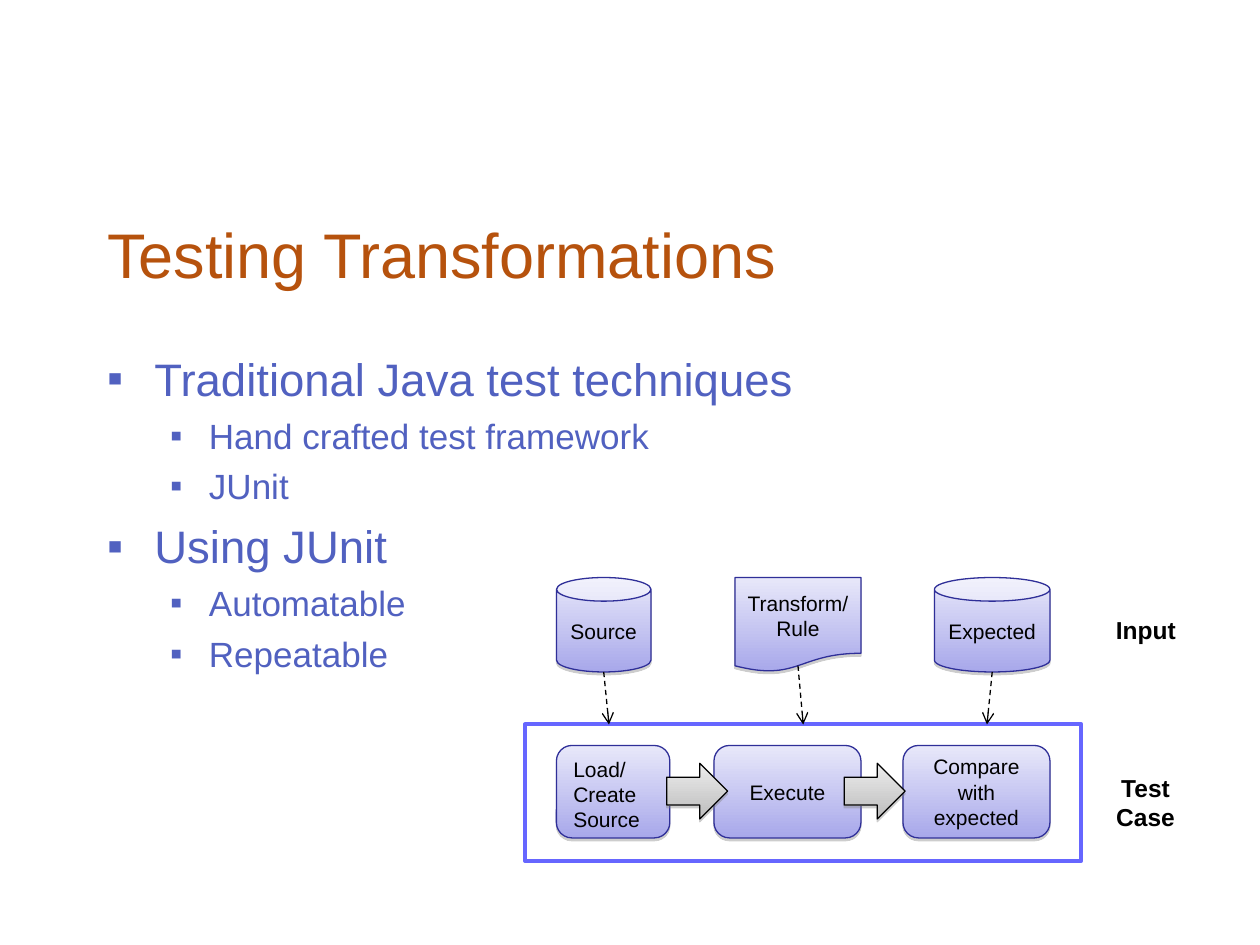
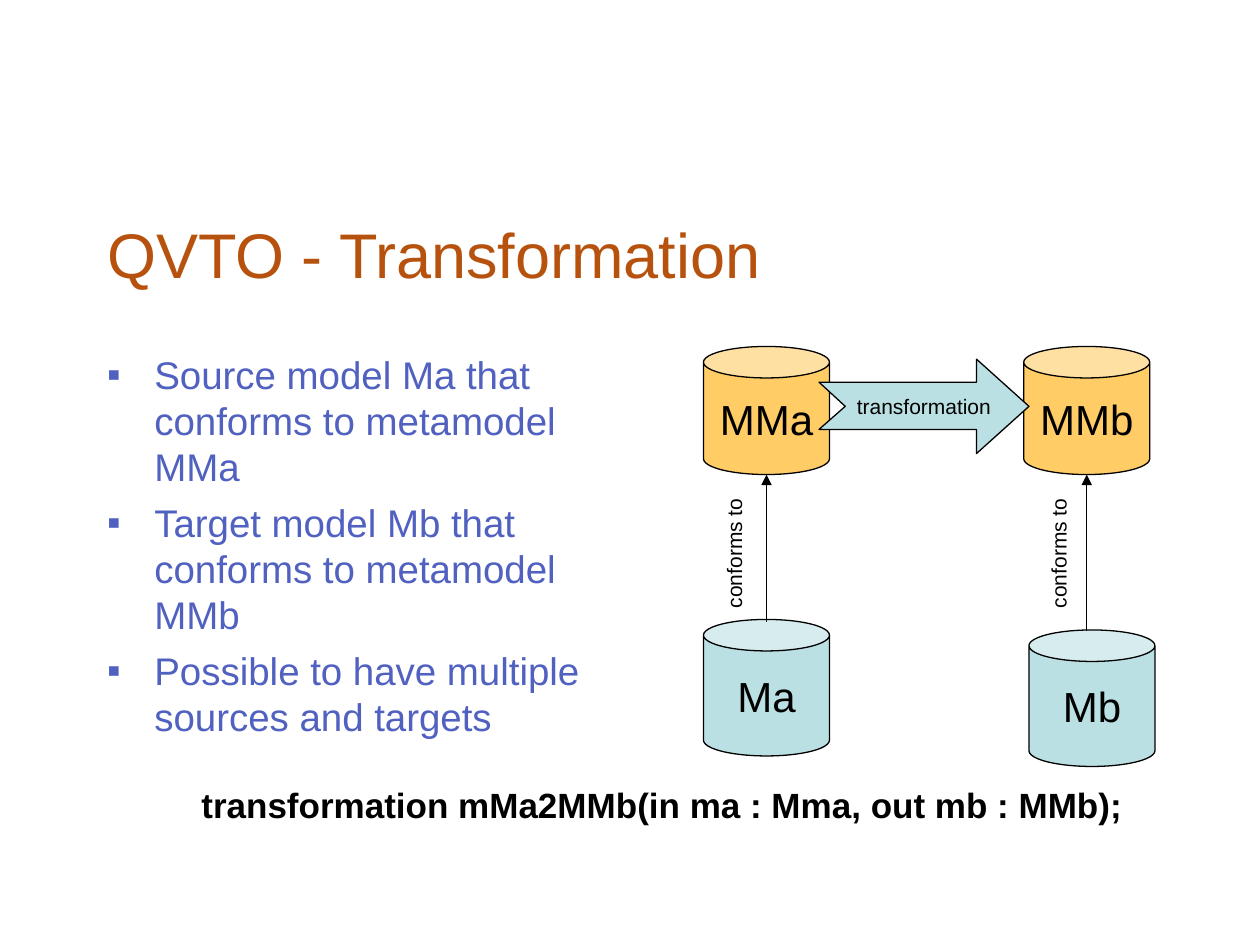
import pptx
import pptx.util
import pptx.dml.color
import pptx.enum.dml
import pptx.enum.shapes
import pptx.enum.text
import pptx.oxml
import pptx.oxml.ns
from dataclasses import dataclass
from lxml import etree

PX = 7620  # EMU in one px, 120 px to the inch
SHAPE = pptx.enum.shapes.MSO_SHAPE
ALIGN = pptx.enum.text.PP_ALIGN
ANCHOR = pptx.enum.text.MSO_ANCHOR
AUTO_SIZE = pptx.enum.text.MSO_AUTO_SIZE
RGB = pptx.dml.color.RGBColor.from_string
qn = pptx.oxml.ns.qn


@dataclass(frozen=True)
class Theme:
    font: str = "Arial"
    title: str = "B6520D"
    body: str = "5161C0"
    ink: str = "000000"
    step: tuple = ("E8E8FA", "A8A8EA")
    step_line: str = "2F2F98"
    flow: tuple = ("EDEDED", "BCBCBC")
    frame: str = "6666FF"
    metamodel: str = "FFCC66"
    model: str = "BBE0E3"
    shadow: str = "808080"
    title_size: int = 36
    list_size: int = 26
    sublist_size: int = 20
    narrow_list_size: int = 22
    model_size: int = 24
    code_size: int = 20
    label_size: int = 14
    small_size: int = 12
    hairline: float = 0.75
    frame_width: float = 2.25


theme = Theme()


def write(paragraph, text, size, color=theme.ink, bold=False, align=ALIGN.LEFT):
    """Put formatted text into a paragraph; a newline becomes a line break."""
    paragraph.text = text
    paragraph.alignment = align
    font_values = {"name": theme.font, "size": pptx.util.Pt(size), "bold": bold}
    for run in paragraph.runs:
        for name, value in font_values.items():
            setattr(run.font, name, value)
        run.font.color.rgb = RGB(color)


def paint(shape, fill, line, width=theme.hairline):
    """Fill with nothing, one colour, or a shadowed top-to-bottom gradient."""
    shape.shadow.inherit = False
    shape.line.color.rgb = RGB(line)
    shape.line.width = pptx.util.Pt(width)
    if fill is None:
        shape.fill.background()
    elif isinstance(fill, str):
        shape.fill.solid()
        shape.fill.fore_color.rgb = RGB(fill)
    else:
        shape.fill.gradient()
        shape.fill.gradient_angle = 270
        for stop, color in zip(shape.fill.gradient_stops, fill):
            stop.color.rgb = RGB(color)
        effects = shape._element.spPr.find(qn("a:effectLst"))
        outer = etree.SubElement(effects, qn("a:outerShdw"), blurRad="0", dist="20320",
                                 dir="5400000", rotWithShape="0")
        color = etree.SubElement(outer, qn("a:srgbClr"), val=theme.shadow)
        etree.SubElement(color, qn("a:alpha"), val="38000")


presentation = pptx.Presentation()
presentation.slide_width = 1200 * PX
presentation.slide_height = 900 * PX

# Titles and lists: title, list width, type size by level, list of (level, text)
contents = [
    ("Testing Transformations", 1020, (theme.list_size, theme.sublist_size), [
        (0, "Traditional Java test techniques"),
        (1, "Hand crafted test framework"),
        (1, "JUnit"),
        (0, "Using JUnit"),
        (1, "Automatable"),
        (1, "Repeatable"),
    ]),
    ("QVTO - Transformation", 494, (theme.narrow_list_size,), [
        (0, "Source model Ma that conforms to metamodel MMa"),
        (0, "Target model Mb that conforms to metamodel MMb"),
        (0, "Possible to have multiple sources and targets"),
    ]),
]
indents = [(45, -45), (97, -37)]  # left margin and first line, by level

for title_text, list_width, sizes, items in contents:
    slide = presentation.slides.add_slide(presentation.slide_layouts[1])
    title, body = slide.placeholders
    for shape, box in ((title, (90, 166, 1020, 150)), (body, (90, 328, list_width, 500))):
        for name, value in zip(("left", "top", "width", "height"), box):
            setattr(shape, name, value * PX)
        shape.text_frame.auto_size = AUTO_SIZE.NONE
    title.text_frame.vertical_anchor = ANCHOR.MIDDLE
    write(title.text_frame.paragraphs[0], title_text, theme.title_size, theme.title)

    frame = body.text_frame
    for index, (level, text) in enumerate(items):
        paragraph = frame.add_paragraph() if index else frame.paragraphs[0]
        paragraph.level = level
        properties = paragraph._p.get_or_add_pPr()
        for name, value in zip(("marL", "indent"), indents[level]):
            properties.set(name, str(value * PX))
        bullet_color = etree.SubElement(properties, qn("a:buClr"))
        etree.SubElement(bullet_color, qn("a:srgbClr"), val=theme.body)
        etree.SubElement(properties, qn("a:buFont"), typeface=theme.font)
        etree.SubElement(properties, qn("a:buChar"), char="▪")
        paragraph.space_before = pptx.util.Pt(sizes[level] / 4 if index else 0)
        write(paragraph, text, sizes[level], theme.body)

testing, qvto = presentation.slides

# Shapes of both diagrams: slide, kind, box, fill, line, text
input_top, step_top, purple = 550, 710, (theme.step, theme.step_line)
shapes = [
    (testing, SHAPE.ROUNDED_RECTANGLE, (530, step_top, 108, 88), *purple, "Load/Create Source"),
    (testing, SHAPE.ROUNDED_RECTANGLE, (680, step_top, 140, 88), *purple, "Execute"),
    (testing, SHAPE.ROUNDED_RECTANGLE, (860, step_top, 140, 88), *purple, "Compare with expected"),
    (testing, SHAPE.CAN, (530, input_top, 90, 90), *purple, "Source"),
    (testing, SHAPE.FLOWCHART_DOCUMENT, (700, input_top, 120, 90), *purple, "Transform/Rule"),
    (testing, SHAPE.CAN, (890, input_top, 110, 90), *purple, "Expected"),
    (testing, SHAPE.RIGHT_ARROW, (635, 727, 58, 53), theme.flow, theme.ink, ""),
    (testing, SHAPE.RIGHT_ARROW, (804, 727, 58, 53), theme.flow, theme.ink, ""),
    (qvto, SHAPE.CAN, (670, 330, 120, 122), theme.metamodel, theme.ink, "MMa"),
    (qvto, SHAPE.CAN, (975, 330, 120, 122), theme.metamodel, theme.ink, "MMb"),
    (qvto, SHAPE.CAN, (670, 590, 120, 130), theme.model, theme.ink, "Ma"),
    (qvto, SHAPE.CAN, (980, 600, 120, 130), theme.model, theme.ink, "Mb"),
]
for slide, kind, box, fill, line, text in shapes:
    shape = slide.shapes.add_shape(kind, *(value * PX for value in box))
    paint(shape, fill, line)
    if text:
        first_step = text.startswith("Load")
        shape.text_frame.word_wrap = slide is testing
        shape.text_frame.vertical_anchor = ANCHOR.TOP if first_step else ANCHOR.MIDDLE
        write(shape.text_frame.paragraphs[0], text,
              theme.small_size if slide is testing else theme.model_size,
              align=ALIGN.LEFT if first_step else ALIGN.CENTER)

# Frame around the test case
test_case = testing.shapes.add_shape(SHAPE.RECTANGLE, 500 * PX, 690 * PX, 530 * PX, 130 * PX)
paint(test_case, None, theme.frame, theme.frame_width)

# Notched arrow between the metamodels
outline = [(930, 364), (930, 342), (980, 387), (930, 432), (930, 409), (780, 409), (805, 387)]
builder = qvto.shapes.build_freeform(780, 364, scale=PX)
builder.add_line_segments(outline, close=True)
transformation = builder.convert_to_shape()
paint(transformation, theme.model, theme.ink)
transformation.text_frame.word_wrap = False
transformation.text_frame.vertical_anchor = ANCHOR.MIDDLE
write(transformation.text_frame.paragraphs[0], "transformation", theme.small_size,
      align=ALIGN.CENTER)

# Thin arrows: slide, start, end, head, dashed
arrows = [
    (testing, (575, 640), (580, 690), "arrow", True),
    (testing, (760, 634), (765, 690), "arrow", True),
    (testing, (945, 640), (940, 690), "arrow", True),
    (qvto, (730, 592), (730, 452), "triangle", False),
    (qvto, (1035, 601), (1035, 452), "triangle", False),
]
for slide, start, end, head, dashed in arrows:
    connector = slide.shapes.add_connector(
        pptx.enum.shapes.MSO_CONNECTOR.STRAIGHT, *(value * PX for value in start + end))
    if end == (765, 690):
        connector.end_connect(test_case, 0)
    connector.line.color.rgb = RGB(theme.ink)
    connector.line.width = pptx.util.Pt(theme.hairline)
    if dashed:
        connector.line.dash_style = pptx.enum.dml.MSO_LINE.DASH
    etree.SubElement(connector.line._get_or_add_ln(), qn("a:tailEnd"), type=head)
    etree.SubElement(connector._element.spPr, qn("a:effectLst"))

# Labels: slide, box, text, size, bold, alignment, rotation, wrap
labels = [
    (testing, (1051, 580, 81, 41), "Input", theme.label_size, True, ALIGN.LEFT, 0, False),
    (testing, (1051, 730, 80, 68), "Test\nCase", theme.label_size, True, ALIGN.CENTER, 0, False),
    (qvto, (634, 508, 130, 36), "conforms to", theme.small_size, False, ALIGN.LEFT, 270, True),
    (qvto, (943, 508, 130, 36), "conforms to", theme.small_size, False, ALIGN.LEFT, 270, True),
    (qvto, (180, 740, 910, 53), "transformation mMa2MMb(in ma : Mma, out mb : MMb);",
     theme.code_size, True, ALIGN.LEFT, 0, True),
]
for slide, box, text, size, bold, align, rotation, wrap in labels:
    label = slide.shapes.add_textbox(*(value * PX for value in box))
    label.rotation = rotation
    label.text_frame.word_wrap = wrap
    label.text_frame.auto_size = AUTO_SIZE.SHAPE_TO_FIT_TEXT
    write(label.text_frame.paragraphs[0], text, size, bold=bold, align=align)

presentation.save("out.pptx")
